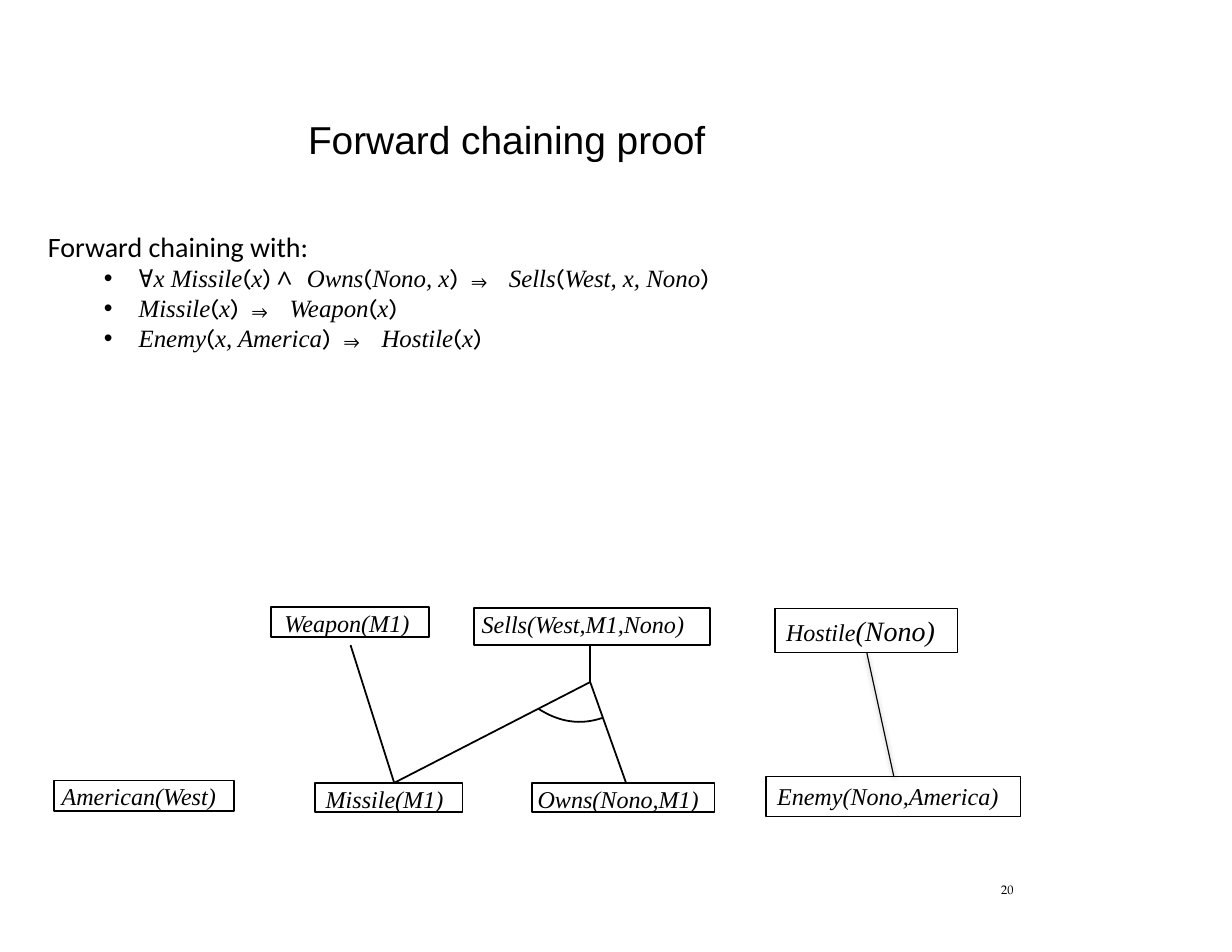
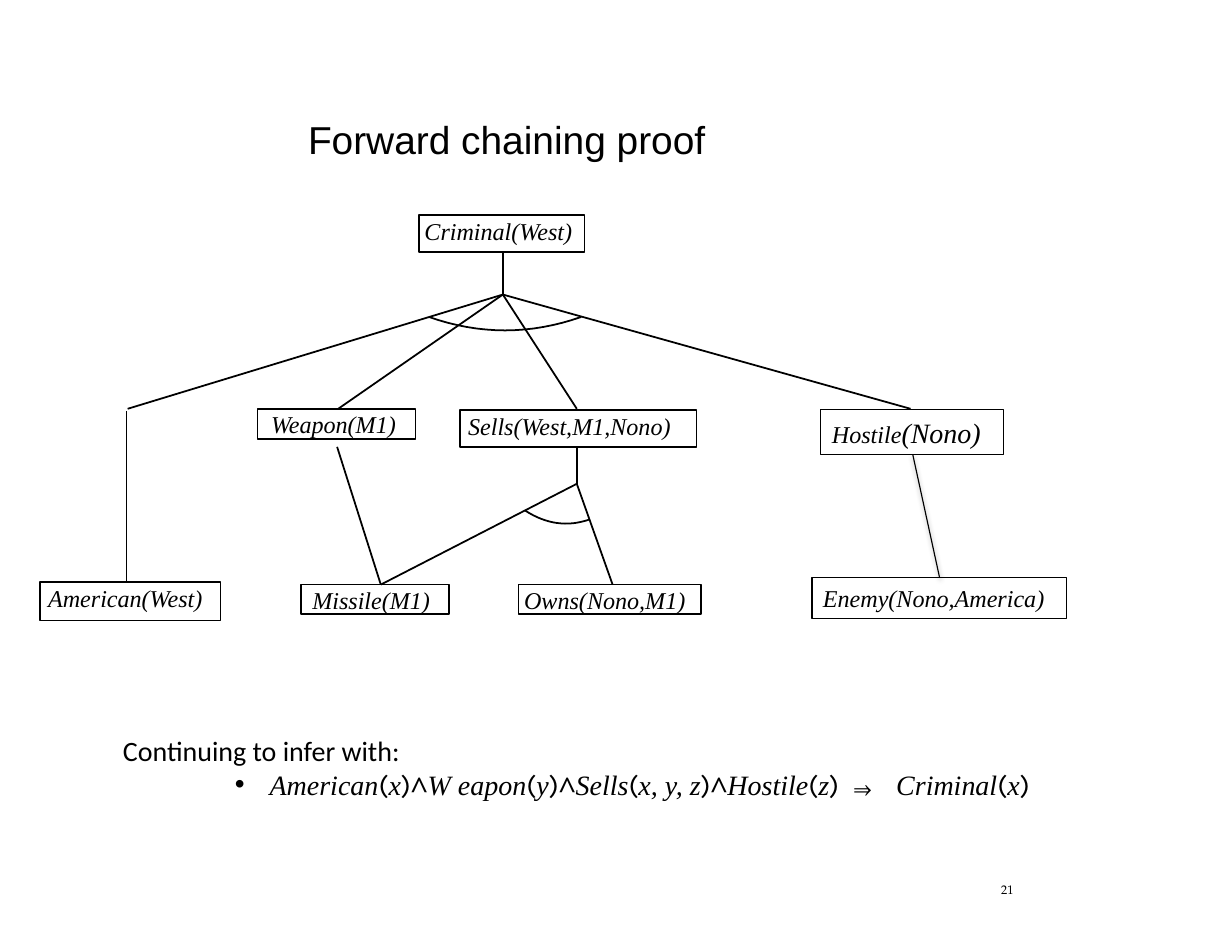
from itertools import groupby

from lxml.etree import SubElement
from pptx import Presentation
from pptx.dml.color import RGBColor
from pptx.enum.shapes import MSO_CONNECTOR, MSO_SHAPE
from pptx.enum.text import MSO_ANCHOR, MSO_AUTO_SIZE, PP_ALIGN
from pptx.oxml.ns import qn
from pptx.util import Inches, Pt

BLACK = "000000"
TITLE_FONT = {"name": "Arial", "size": Pt(25), "bold": False}
NUMBER_FONT = {"name": "TeX Gyre Pagella", "size": Pt(8)}
LEAD_FONT = {"name": "Calibri", "size": Pt(18)}
FACT_FONT = {"name": "Times New Roman", "size": Pt(15.5), "italic": True}
FORMULA_FONTS = {
    "term": {"name": "Times New Roman", "italic": True},
    "bracket": {"name": "Karla", "italic": False},
    "symbol": {"name": "Noto Sans Mono", "italic": False},
}
THICK, THIN = 1.13, 0.75


def color(hex_value):
    return RGBColor.from_string(hex_value)


# Text
def add_span(para, text, font_values):
    span = para.add_run()
    span.text = text
    for name, value in font_values.items():
        setattr(span.font, name, value)
    span.font.color.rgb = color(BLACK)


def set_frame(shape, left=0.0, top=0.0, right=0.0, bottom=0.0):
    frame = shape.text_frame
    values = {
        "margin_left": Inches(left), "margin_top": Inches(top),
        "margin_right": Inches(right), "margin_bottom": Inches(bottom),
        "word_wrap": True, "auto_size": MSO_AUTO_SIZE.NONE,
        "vertical_anchor": MSO_ANCHOR.TOP,
    }
    for name, value in values.items():
        setattr(frame, name, value)
    para = frame.paragraphs[0]
    para.alignment = PP_ALIGN.LEFT
    return para


def add_text_box(page, left, top, width, height):
    return page.shapes.add_textbox(
        Inches(left), Inches(top), Inches(width), Inches(height))


def formula_parts(formula):
    """Split a formula into (kind, text); a space joins what precedes it."""
    kinds = []
    for char in formula:
        if char == " ":
            kinds.append(kinds[-1])
        elif char in "()":
            kinds.append("bracket")
        else:
            kinds.append("symbol" if char in "∀∧⇒" else "term")
    for kind, pairs in groupby(zip(kinds, formula), key=lambda pair: pair[0]):
        yield kind, "".join(char for _, char in pairs)


def add_rules(page, place, lead, formulas, level, indent, size):
    """A lead sentence with bulleted logic rules below it."""
    box = add_text_box(page, *place)
    add_span(set_frame(box, 0.1, 0.05, 0.1, 0.05), lead, LEAD_FONT)
    for formula in formulas:
        para = box.text_frame.add_paragraph()
        para.level = level
        props = para._p.get_or_add_pPr()
        props.set("marL", str(Inches(indent)))
        props.set("indent", str(Inches(-0.31)))
        SubElement(props, qn("a:buFont")).set("typeface", "Arial")
        SubElement(props, qn("a:buChar")).set("char", "•")
        for kind, text in formula_parts(formula):
            add_span(para, text, {**FORMULA_FONTS[kind], "size": Pt(size)})


# Proof tree parts
def set_outline(shape, weight):
    shape.line.color.rgb = color(BLACK)
    shape.line.width = Pt(weight)


def add_fact(page, place, text, inset, weight=THICK, top=0.01, tail=""):
    box = page.shapes.add_shape(
        MSO_SHAPE.RECTANGLE, *[Inches(value) for value in place])
    box.shadow.inherit = False
    box.fill.background()
    set_outline(box, weight)
    para = set_frame(box, inset, top)
    add_span(para, text, FACT_FONT)
    if tail:
        add_span(para, tail, {**FACT_FONT, "size": Pt(18)})


def add_link(page, start, end, weight=THICK, shadow=False):
    link = page.shapes.add_connector(
        MSO_CONNECTOR.STRAIGHT, *[Inches(value) for value in (*start, *end)])
    set_outline(link, weight)
    effects = SubElement(link._element.spPr, qn("a:effectLst"))
    if shadow:
        outer = SubElement(effects, qn("a:outerShdw"), blurRad=str(Pt(3.1)),
                           dist=str(Pt(1.6)), dir="5400000", rotWithShape="0")
        black = SubElement(outer, qn("a:srgbClr"), val=BLACK)
        SubElement(black, qn("a:alpha"), val="38000")


def add_and_arc(page, start, control, end, steps=16):
    """A quadratic curve that marks branches joined by AND."""
    points = []
    for step in range(steps + 1):
        t = step / steps
        points.append(tuple(
            Inches((1 - t) ** 2 * a + 2 * t * (1 - t) * b + t ** 2 * c)
            for a, b, c in zip(start, control, end)))
    builder = page.shapes.build_freeform(*points[0])
    builder.add_line_segments(points[1:], close=False)
    arc = builder.convert_to_shape()
    arc.shadow.inherit = False
    arc.fill.background()
    set_outline(arc, THICK)


def add_lower_tree(page, left, top, hostile_left, american_height):
    """Known facts and the first layer of conclusions."""
    def at(x, y, *size):
        return (left + x, top + y, *size)

    # Facts
    add_fact(page, at(0, 1.55, 1.61, american_height), "American(West)", 0.07)
    add_fact(page, at(2.33, 1.57, 1.32, 0.26), "Missile(M1)", 0.1)
    add_fact(page, at(4.27, 1.57, 1.63, 0.26), "Owns(Nono,M1)", 0.05)

    # Conclusions
    add_fact(page, at(1.94, 0, 1.41, 0.27), "Weapon(M1)", 0.12)
    add_fact(page, at(3.75, 0.01, 2.11, 0.33), "Sells(West,M1,Nono)", 0.07)

    # Links
    joint, missile = at(4.79, 0.67), at(3.04, 1.57)
    add_link(page, missile, at(2.65, 0.34))
    add_link(page, at(4.79, 0.34), joint)
    add_link(page, joint, at(5.11, 1.57))
    add_link(page, joint, missile)
    add_and_arc(page, at(4.33, 0.91), at(4.61, 1.09), at(4.9, 0.99))

    # Hostile branch
    add_fact(page, (hostile_left, top + 0.01, 1.63, 0.4), "Hostile",
             0.1, THIN, 0.05, "(Nono)")
    add_fact(page, (hostile_left - 0.08, top + 1.51, 2.27, 0.36),
             "Enemy(Nono,America)", 0.1, THIN, 0.05)
    add_link(page, (hostile_left + 1.06, top + 1.51),
             (hostile_left + 0.82, top + 0.41), THIN, shadow=True)


def add_criminal_branch(page):
    """The final conclusion and the four facts it rests on."""
    add_fact(page, (3.74, 1.92, 1.48, 0.33), "Criminal(West)", 0.05)
    joint = (4.49, 2.63)
    add_link(page, (4.49, 2.25), joint)
    for x in (1.14, 3.02, 5.15, 8.13):
        add_link(page, joint, (x, 3.65))
    add_link(page, (1.13, 3.67), (1.13, 5.2))
    add_and_arc(page, (3.83, 2.83), (4.51, 3.07), (5.19, 2.83))


# Shared slide frame
def add_page(deck, number):
    page = deck.slides.add_slide(deck.slide_layouts[5])
    title = page.shapes.title
    place = {"left": 0.59, "top": 1.11, "width": 8.45, "height": 0.35}
    for name, value in place.items():
        setattr(title, name, Inches(value))
    para = set_frame(title, left=2.16)
    para.line_spacing = Pt(24.3)
    add_span(para, "Forward chaining proof", TITLE_FONT)

    para = set_frame(add_text_box(page, 8.91, 7.89, 0.17, 0.13), left=0.03)
    para.line_spacing = Pt(8.8)
    add_span(para, str(number), NUMBER_FONT)
    return page


def main():
    deck = Presentation()
    deck.slide_width, deck.slide_height = Inches(11), Inches(8.5)

    # First inference step
    page = add_page(deck, 20)
    add_lower_tree(page, 0.48, 5.42, 6.92, 0.27)
    add_rules(page, (0.33, 2, 6.15, 1.51), "Forward chaining with:", [
        "∀x Missile(x) ∧ Owns(Nono, x) ⇒ Sells(West, x, Nono)",
        "Missile(x) ⇒ Weapon(x)",
        "Enemy(x, America) ⇒ Hostile(x)",
    ], level=1, indent=0.81, size=16)

    # Completed proof
    page = add_page(deck, 21)
    add_lower_tree(page, 0.36, 3.65, 7.33, 0.34)
    add_criminal_branch(page)
    add_rules(page, (1, 6.5, 8.46, 0.71), "Continuing to infer with:", [
        "American(x)∧W eapon(y)∧Sells(x, y, z)∧Hostile(z) ⇒ Criminal(x)",
    ], level=2, indent=1.31, size=18)

    deck.save("out.pptx")


main()
